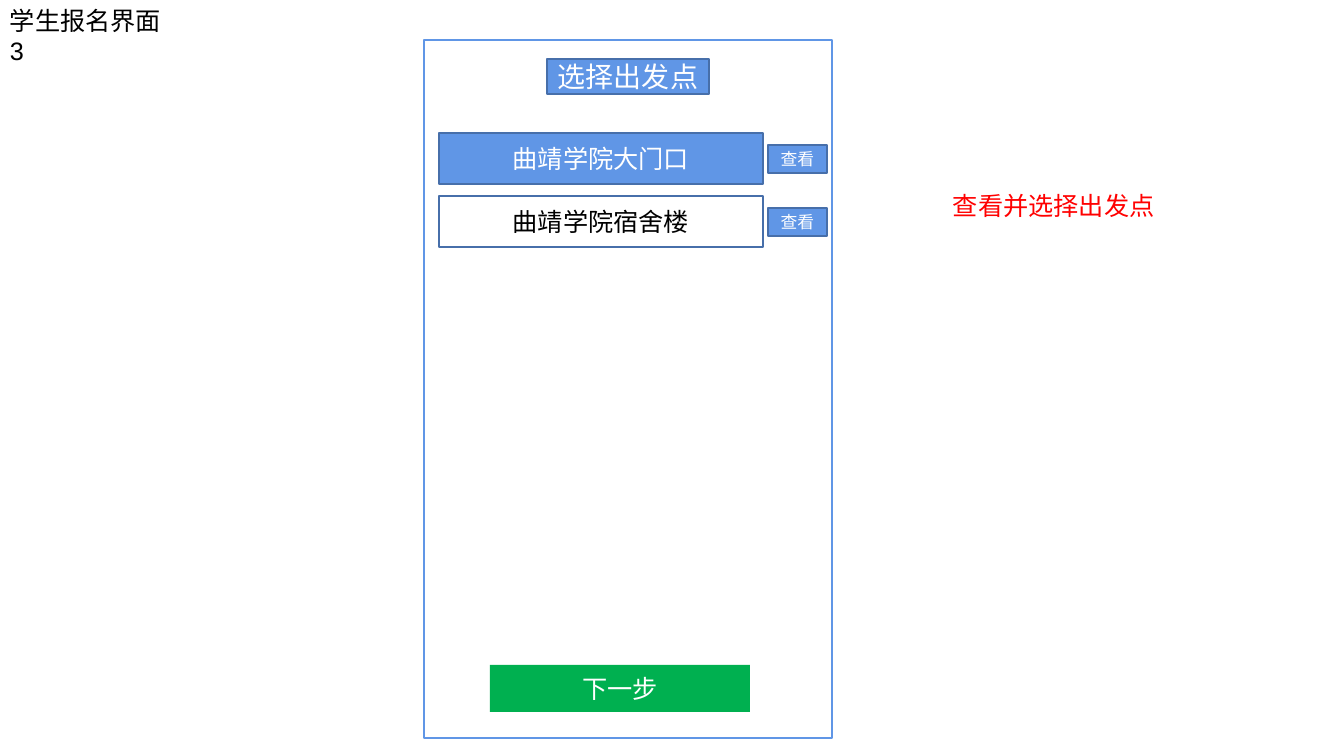
from pptx import Presentation
from pptx import util as u
from pptx.dml.color import RGBColor
from pptx.enum import shapes, text

theme = {
    "blue": "6096E6", "edge": "476FAA", "green": "00B050",
    "white": "FFFFFF", "black": "000000", "red": "FF0000",
    "font": "Arial", "head": 20, "body": 18, "small": 12,
}
PX = 914400 / 100.8


def write(frame, words, size, ink, align):
    frame.text = words
    frame.word_wrap = True
    para = frame.paragraphs[0]
    para.alignment = align
    font = para.runs[0].font
    font.name = theme["font"]
    font.size = u.Pt(theme[size])
    font.color.rgb = RGBColor.from_string(theme[ink])


def box(area, fill=None, line=None, width=1):
    rect = slide.shapes.add_shape(
        shapes.MSO_SHAPE.RECTANGLE, *[u.Emu(round(n * PX)) for n in area])
    rect.shadow.inherit = False
    if fill:
        rect.fill.solid()
        rect.fill.fore_color.rgb = RGBColor.from_string(theme[fill])
    else:
        rect.fill.background()
    if line:
        rect.line.color.rgb = RGBColor.from_string(theme[line])
        rect.line.width = u.Pt(width)
    else:
        rect.line.fill.background()
    rect.text_frame.vertical_anchor = text.MSO_ANCHOR.MIDDLE
    return rect.text_frame


deck = Presentation()
deck.slide_width = u.Emu(round(1344 * PX))
deck.slide_height = u.Emu(round(756 * PX))
slide = deck.slides.add_slide(deck.slide_layouts[6])

box((424, 40, 408, 698), line="blue", width=1.5)

labels = [
    ("学生报名界面3", (0, 0, 184, 40), "black"),
    ("查看并选择出发点", (943, 185, 244, 40), "red"),
]
for words, area, ink in labels:
    label = slide.shapes.add_textbox(*[u.Emu(round(n * PX)) for n in area])
    write(label.text_frame, words, "body", ink, text.PP_ALIGN.LEFT)
    label.text_frame.auto_size = text.MSO_AUTO_SIZE.SHAPE_TO_FIT_TEXT

buttons = [
    ("选择出发点", (547, 59, 162, 35), "blue", "edge", "head", "white"),
    ("下一步", (490, 665, 260, 47), "green", None, "body", "white"),
]
stops = [("曲靖学院大门口", "blue", "white"), ("曲靖学院宿舍楼", None, "black")]
for row, (stop, fill, ink) in enumerate(stops):
    top = 133 + 63 * row
    buttons.append((stop, (439, top, 324, 51), fill, "edge", "body", ink))
    buttons.append(("查看", (768, top + 12, 59, 28), "blue", "edge", "small", "white"))

for words, area, fill, line, size, ink in buttons:
    write(box(area, fill, line), words, size, ink, text.PP_ALIGN.CENTER)

deck.save("out.pptx")
